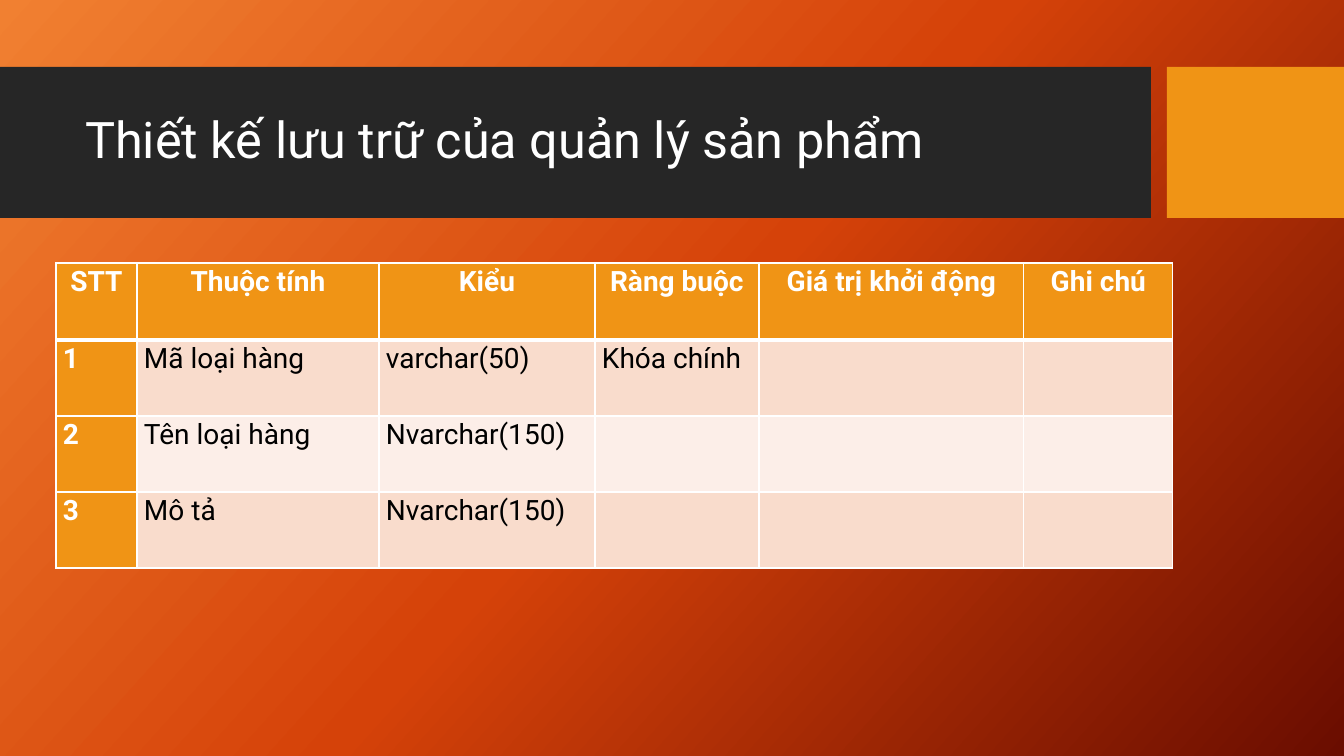
from copy import deepcopy

from pptx import Presentation
from pptx.dml.color import RGBColor
from pptx.enum.shapes import MSO_SHAPE
from pptx.enum.text import MSO_ANCHOR, MSO_AUTO_SIZE, PP_ALIGN
from pptx.oxml import parse_xml
from pptx.oxml.ns import nsdecls, qn
from pptx.util import Emu, Pt

TITLE = "Thiết kế lưu trữ của quản lý sản phẩm"
TABLE_ROWS = [
    ("STT", "Thuộc tính", "Kiểu", "Ràng buộc", "Giá trị khởi động", "Ghi chú"),
    ("1", "Mã loại hàng", "varchar(50)", "Khóa chính", "", ""),
    ("2", "Tên loại hàng", "Nvarchar(150)", "", "", ""),
    ("3", "Mô tả", "Nvarchar(150)", "", "", ""),
]
COLUMN_WIDTHS = [81, 242, 216, 164, 265, 149]
ROW_HEIGHTS = [77, 76, 76, 76]
TABLE_LEFT, TABLE_TOP = 56, 263
TITLE_BOX = (75, 83, 1059, 119)
BARS = [((0, 67, 1151, 151), "dark"), ((1167, 67, 177, 151), "accent")]
COLORS = {
    "dark": "262626",
    "accent": "F09415",
    "white": "FFFFFF",
    "black": "000000",
    "odd_row": "F9DCCC",
    "even_row": "FCEEE8",
    "glow": "F18031",
    "flame": "D54209",
    "ember": "6A0D00",
}
BACKGROUND_STOPS = [(0, "glow"), (0.5, "flame"), (1, "ember")]
FONT = "Roboto"


def px(value):
    return Emu(round(value * 914400 / 100.8))


def color(name):
    return RGBColor.from_string(COLORS[name])


def style_font(paragraph, size, color_name, bold=False):
    paragraph.font.name = FONT
    paragraph.font.size = Pt(size)
    paragraph.font.bold = bold
    paragraph.font.color.rgb = color(color_name)


def paint_background(slide):
    fill = slide.background.fill
    fill.gradient()
    fill.gradient_angle = 360 - 42
    stop_list = slide.element.find(".//" + qn("a:gsLst"))
    stop_list.append(deepcopy(stop_list[0]))
    for stop, (position, name) in zip(fill.gradient_stops, BACKGROUND_STOPS):
        stop.position = position
        stop.color.rgb = color(name)


def add_bar(slide, box, color_name):
    bar = slide.shapes.add_shape(MSO_SHAPE.RECTANGLE, *map(px, box))
    bar.shadow.inherit = False
    bar.fill.solid()
    bar.fill.fore_color.rgb = color(color_name)
    bar.line.fill.background()


def set_title(slide):
    title = slide.shapes.title
    title.left, title.top, title.width, title.height = map(px, TITLE_BOX)
    frame = title.text_frame
    frame.text = TITLE
    frame.word_wrap = True
    frame.auto_size = MSO_AUTO_SIZE.NONE
    frame.vertical_anchor = MSO_ANCHOR.MIDDLE
    paragraph = frame.paragraphs[0]
    paragraph.alignment = PP_ALIGN.LEFT
    paragraph.line_spacing = 0.9
    style_font(paragraph, 36, "white")
    slide.shapes.element.append(title.element)


def set_borders(cell, top, bottom):
    properties = cell._tc.get_or_add_tcPr()
    for side, points in (("L", 1), ("R", 1), ("T", top), ("B", bottom)):
        properties.append(parse_xml(
            f'<a:ln{side} {nsdecls("a")} w="{Pt(points)}"><a:solidFill>'
            f'<a:srgbClr val="{COLORS["white"]}"/></a:solidFill></a:ln{side}>'
        ))


def fill_cell(cell, text, row, column):
    is_heading = row == 0 or column == 0
    set_borders(cell, 3 if row == 1 else 1, 3 if row == 0 else 1)
    band = "odd_row" if row % 2 else "even_row"
    cell.fill.solid()
    cell.fill.fore_color.rgb = color("accent" if is_heading else band)
    cell.margin_left = cell.margin_right = px(7)
    cell.margin_top = cell.margin_bottom = 0
    cell.text = text
    paragraph = cell.text_frame.paragraphs[0]
    paragraph.alignment = PP_ALIGN.CENTER if row == 0 else PP_ALIGN.LEFT
    paragraph.line_spacing = 1.07
    paragraph.space_after = Pt(8)
    style_font(paragraph, 20, "white" if is_heading else "black", is_heading)


def add_attribute_table(slide):
    table = slide.shapes.add_table(
        len(ROW_HEIGHTS), len(COLUMN_WIDTHS), px(TABLE_LEFT), px(TABLE_TOP),
        px(sum(COLUMN_WIDTHS)), px(sum(ROW_HEIGHTS)),
    ).table
    for column, width in zip(table.columns, COLUMN_WIDTHS):
        column.width = px(width)
    for row, height in zip(table.rows, ROW_HEIGHTS):
        row.height = px(height)
    for row, texts in enumerate(TABLE_ROWS):
        for column, text in enumerate(texts):
            fill_cell(table.cell(row, column), text, row, column)


def main():
    presentation = Presentation()
    presentation.slide_width, presentation.slide_height = px(1344), px(756)
    slide = presentation.slides.add_slide(presentation.slide_layouts[5])
    paint_background(slide)
    for box, color_name in BARS:
        add_bar(slide, box, color_name)
    set_title(slide)
    add_attribute_table(slide)
    presentation.save("out.pptx")


if __name__ == "__main__":
    main()
